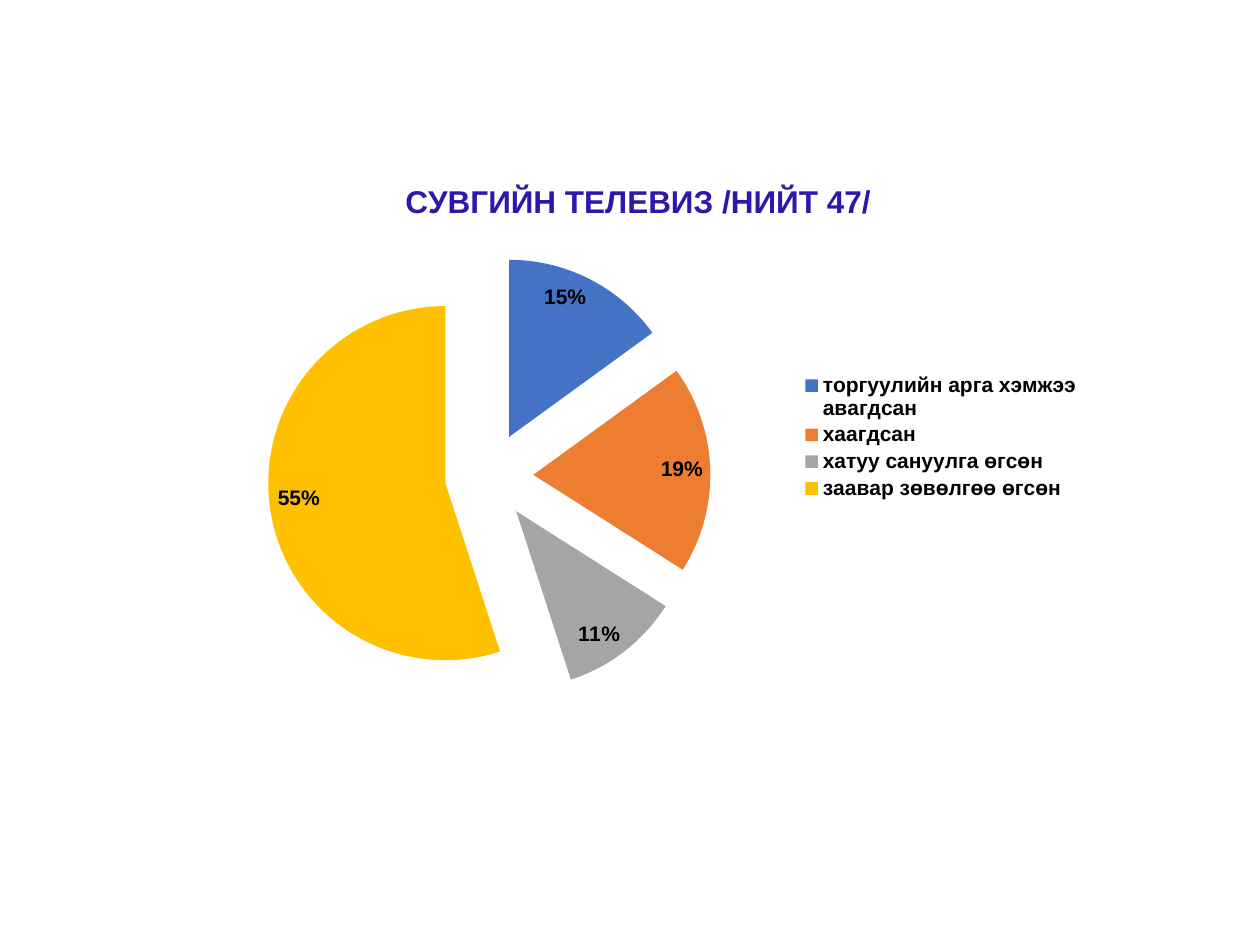
from lxml.etree import SubElement
from pptx import Presentation
from pptx.chart.data import CategoryChartData
from pptx.dml.color import RGBColor
from pptx.enum.chart import XL_CHART_TYPE as ChartType
from pptx.enum.chart import XL_LABEL_POSITION as LabelPosition
from pptx.enum.chart import XL_LEGEND_POSITION as LegendPosition
from pptx.oxml.ns import qn
from pptx.util import Inches, Pt

BLACK = RGBColor(0x00, 0x00, 0x00)
INDIGO = RGBColor(0x2D, 0x18, 0xAC)
BLUE = RGBColor(0x44, 0x72, 0xC4)
ORANGE = RGBColor(0xED, 0x7D, 0x31)
GRAY = RGBColor(0xA5, 0xA5, 0xA5)
GOLD = RGBColor(0xFF, 0xC0, 0x00)

TITLE = "СУВГИЙН ТЕЛЕВИЗ /НИЙТ 47/"
MEASURES = [
    ("торгуулийн арга хэмжээ авагдсан ", 15, BLUE),
    ("хаагдсан ", 19, ORANGE),
    ("хатуу сануулга өгсөн ", 11, GRAY),
    ("заавар зөвөлгөө өгсөн", 55, GOLD),
]
TEXT_FORMAT = {"name": "Arial", "size": Pt(12), "bold": True}
TITLE_FORMAT = {**TEXT_FORMAT, "size": Pt(18)}


def format_font(font, values, color):
    for name, value in values.items():
        setattr(font, name, value)
    font.color.rgb = color


def place(element, position, inner=False):
    for old in element.findall(qn("c:layout")):
        element.remove(old)
    layout = SubElement(element, qn("c:layout"))
    manual = SubElement(layout, qn("c:manualLayout"))
    settings = {"layoutTarget": "inner"} if inner else {}
    settings.update(xMode="edge", yMode="edge")
    settings.update(zip("xywh", position))
    for name, value in settings.items():
        SubElement(manual, qn(f"c:{name}")).set("val", str(value))
    return layout


def add_pie(page):
    data = CategoryChartData()
    data.categories = [label for label, _, _ in MEASURES]
    data.add_series("Series 1", [value for _, value, _ in MEASURES])
    frame = page.shapes.add_chart(
        ChartType.PIE, Inches(1.48), Inches(1.25), Inches(7.17), Inches(4.44), data
    )
    chart = frame.chart
    format_font(chart.font, TEXT_FORMAT, BLACK)
    plot_area = chart.plots[0]._element.getparent()
    plot_area.insert(0, place(plot_area, (0.09, 0.17, 0.49, 0.8), inner=True))
    return chart


def add_title(chart):
    chart.has_title = True
    title = chart.chart_title
    title.include_in_layout = False
    span = title.text_frame.paragraphs[0].add_run()
    span.text = TITLE
    format_font(span.font, TITLE_FORMAT, INDIGO)


def style_slices(chart):
    plot = chart.plots[0]
    plot.vary_by_categories = True
    series = plot.series[0]
    explosion = SubElement(series._element, qn("c:explosion"))
    explosion.set("val", "25")
    series._element.find(qn("c:tx")).addnext(explosion)
    for index, (_, _, color) in enumerate(MEASURES):
        fill = series.points[index].format.fill
        fill.solid()
        fill.fore_color.rgb = color
    plot.has_data_labels = True
    labels = plot.data_labels
    labels.show_percentage = True
    labels.show_value = False
    labels.number_format = "0%"
    labels.number_format_is_linked = False
    labels.position = LabelPosition.INSIDE_END
    format_font(labels.font, TEXT_FORMAT, BLACK)


def add_legend(chart):
    chart.has_legend = True
    legend = chart.legend
    legend.position = LegendPosition.RIGHT
    legend.include_in_layout = False
    format_font(legend.font, TEXT_FORMAT, BLACK)
    layout = place(legend._element, (0.68, 0.38, 0.31, 0.24))
    legend._element.find(qn("c:legendPos")).addnext(layout)


def main():
    deck = Presentation()
    deck.slide_width, deck.slide_height = Inches(10), Inches(7.5)
    page = deck.slides.add_slide(deck.slide_layouts[6])
    chart = add_pie(page)
    add_title(chart)
    style_slices(chart)
    add_legend(chart)
    deck.save("out.pptx")


if __name__ == "__main__":
    main()
